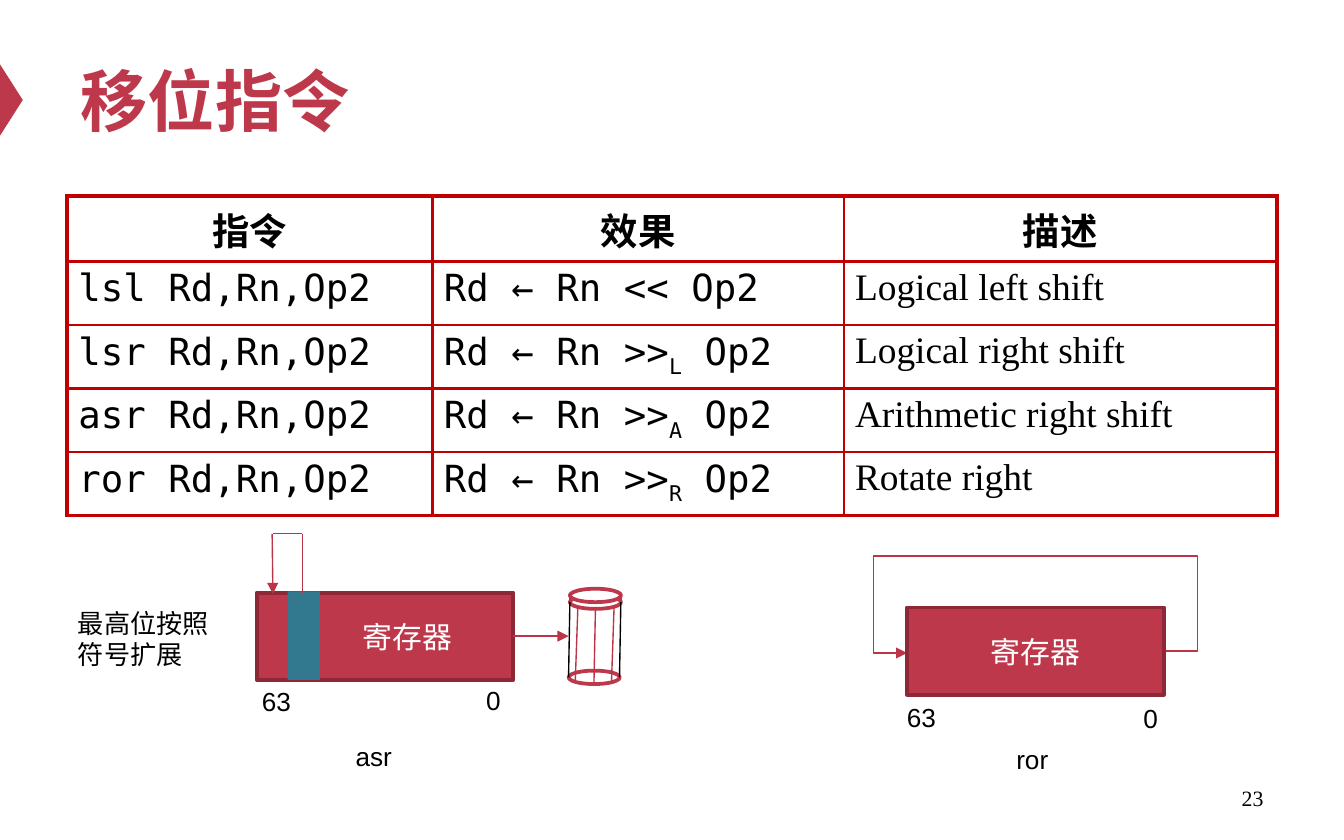
from dataclasses import dataclass

from lxml import etree
from pptx import Presentation
from pptx.dml.color import RGBColor
from pptx.enum import shapes, text
from pptx.oxml import ns
from pptx.util import Pt

COLORS = {
    "red": "BE384B", "line": "BD3347", "dark": "8D2937", "teal": "32788E",
    "border": "C00000", "black": "000000", "white": "FFFFFF",
}
MONO, SERIF, SANS = "DejaVu Sans Mono", "Times New Roman", "Arial"
SHAPE, ALIGN = shapes.MSO_SHAPE, text.PP_ALIGN


@dataclass
class Label:
    words: str
    left: float
    top: float
    width: float
    height: float = 24.5
    align: ALIGN = ALIGN.LEFT
    size: float = 14
    font: str = SANS


@dataclass
class Line:
    x1: float
    y1: float
    x2: float
    y2: float
    color: str = "line"
    arrow: bool = False


HEADERS = ["指令", "效果", "描述"]
# instruction, shift operator, subscript, description
INSTRUCTIONS = [
    ("lsl", "<<", "", "Logical left shift"),
    ("lsr", ">>", "L", "Logical right shift"),
    ("asr", ">>", "A", "Arithmetic right shift"),
    ("ror", ">>", "R", "Rotate right"),
]
LABELS = [
    Label("最高位按照符号扩展", 34.6, 321.8, 85, 41),
    Label("0", 253.4, 362.9, 25),
    Label("63", 133.2, 363.6, 31),
    Label("0", 605.5, 373, 25),
    Label("63", 478.8, 372.2, 31),
    Label("asr", 157.7, 393.1, 85, align=ALIGN.CENTER),
    Label("ror", 510.5, 394.6, 85, align=ALIGN.CENTER),
    Label("23", 516.2, 416.9, 167.8, 23.8, ALIGN.RIGHT, 11.7, SERIF),
]
BIN_ELLIPSES = [(305.3, 319), (304.6, 359.3), (305.3, 315.4)]
BIN_LINES = [
    Line(305.3, 322.6, 304.6, 362.9, "black"),
    Line(332.6, 322.6, 331.9, 362.9, "black"),
    Line(305.3, 318.2, 305.3, 322.6),
    Line(332.6, 318.2, 332.6, 322.6),
    Line(309.6, 324.7, 308.2, 365),
    Line(319, 326.2, 318.2, 365.8),
    Line(329, 324.7, 327.6, 365),
]
SIGN_LINES = [
    Line(275, 340.8, 304.6, 340.8, arrow=True),
    Line(162, 318.2, 162, 286.2),
    Line(162, 285.8, 146.2, 285.8),
    Line(145.8, 286.2, 146.2, 318.2, arrow=True),
]


def rgb(name: str) -> RGBColor:
    return RGBColor.from_string(COLORS[name])


def format_run(run, size: float, font: str, color: str = "black", bold: bool = False) -> None:
    run.font.size, run.font.name, run.font.bold = Pt(size), font, bold
    run.font.color.rgb = rgb(color)


def add_block(slide, kind, left: float, top: float, width: float, height: float,
              fill: str, outline: str = ""):
    shape = slide.shapes.add_shape(kind, Pt(left), Pt(top), Pt(width), Pt(height))
    shape.shadow.inherit = False
    shape.fill.solid()
    shape.fill.fore_color.rgb = rgb(fill)
    if outline:
        shape.line.color.rgb = rgb(outline)
        shape.line.width = Pt(2)
    else:
        shape.line.fill.background()
    return shape


def add_line(slide, line: Line, kind=shapes.MSO_CONNECTOR.STRAIGHT):
    connector = slide.shapes.add_connector(
        kind, Pt(line.x1), Pt(line.y1), Pt(line.x2), Pt(line.y2))
    connector.line.color.rgb = rgb(line.color)
    connector.line.width = Pt(0.75)
    if line.arrow:
        etree.SubElement(connector.line._get_or_add_ln(), ns.qn("a:tailEnd"), type="triangle")
    etree.SubElement(connector._element.spPr, ns.qn("a:effectLst"))
    return connector


def add_rotation_loop(slide, line: Line, reach: float, top: float) -> None:
    """Elbow arrow that leaves on the right, passes above and returns on the left."""
    connector = add_line(slide, line, shapes.MSO_CONNECTOR.ELBOW)
    side = reach / (line.x1 - line.x2)
    rise = (top - line.y1) / (line.y2 - line.y1)
    geometry = connector._element.spPr.find(ns.qn("a:prstGeom"))
    geometry.set("prst", "bentConnector5")
    guides = geometry.find(ns.qn("a:avLst"))
    if guides is None:
        guides = etree.SubElement(geometry, ns.qn("a:avLst"))
    for number, value in enumerate((-side, rise, 1 + side), 1):
        etree.SubElement(guides, ns.qn("a:gd"), name=f"adj{number}",
                         fmla=f"val {round(value * 100000)}")


def add_register(slide, left: float, top: float, indent: float = 0) -> None:
    shape = add_block(slide, SHAPE.RECTANGLE, left, top, 137.5, 46.8, "red", "dark")
    frame = shape.text_frame
    frame.text = "寄存器"
    frame.margin_left = Pt(7.2 + indent)
    frame.vertical_anchor = text.MSO_ANCHOR.MIDDLE
    frame.paragraphs[0].alignment = ALIGN.CENTER
    format_run(frame.paragraphs[0].runs[0], 16, SANS, "white")


def add_label(slide, label: Label) -> None:
    box = slide.shapes.add_textbox(
        Pt(label.left), Pt(label.top), Pt(label.width), Pt(label.height))
    frame = box.text_frame
    frame.word_wrap = True
    frame.text = label.words
    frame.paragraphs[0].alignment = label.align
    format_run(frame.paragraphs[0].runs[0], label.size, label.font)


def set_borders(cell, widths: dict[str, float]) -> None:
    properties = cell._tc.get_or_add_tcPr()
    for side, width in widths.items():
        border = etree.SubElement(properties, ns.qn(f"a:ln{side}"), w=str(Pt(width)))
        fill = etree.SubElement(border, ns.qn("a:solidFill"))
        etree.SubElement(fill, ns.qn("a:srgbClr"), val=COLORS["border"])


def add_instruction_table(slide) -> None:
    rows = [[[word] for word in HEADERS]]
    for name, operator, subscript, description in INSTRUCTIONS:
        effect = [f"Rd ← Rn {operator}", subscript, " Op2"]
        rows.append([[f"{name} Rd,Rn,Op2"], effect, [description]])
    last_row, last_column = len(rows) - 1, len(HEADERS) - 1
    table = slide.shapes.add_table(
        len(rows), len(HEADERS), Pt(36), Pt(105.1), Pt(648), Pt(170)).table
    table.first_row = table.horz_banding = False
    for column, width in zip(table.columns, (195.8, 220.3, 231.9)):
        column.width = Pt(width)
    for r, row in enumerate(rows):
        for c, parts in enumerate(row):
            cell = table.cell(r, c)
            outer = {"L": c == 0, "R": c == last_column, "T": r == 0, "B": r == last_row}
            set_borders(cell, {side: 2.25 if edge else 1.5 for side, edge in outer.items()})
            cell.fill.background()
            cell.margin_left = cell.margin_right = Pt(6)
            cell.margin_top = cell.margin_bottom = Pt(3)
            paragraph = cell.text_frame.paragraphs[0]
            paragraph.alignment = ALIGN.CENTER if r == 0 else ALIGN.LEFT
            font = SANS if r == 0 else SERIF if c == last_column else MONO
            for position, part in enumerate(parts):
                if part:
                    run = paragraph.add_run()
                    run.text = part
                    format_run(run, 20, font, bold=r == 0)
                    if position == 1:
                        run.font._element.set("baseline", "-25000")


def add_title(slide) -> None:
    title = slide.shapes.title
    title.left, title.top, title.width, title.height = Pt(36), Pt(18), Pt(648), Pt(70.6)
    title.text_frame.text = "移位指令"
    title.text_frame.vertical_anchor = text.MSO_ANCHOR.MIDDLE
    paragraph = title.text_frame.paragraphs[0]
    paragraph.alignment = ALIGN.LEFT
    format_run(paragraph.runs[0], 36, SANS, "red", bold=True)


def main() -> None:
    presentation = Presentation()
    presentation.slide_width, presentation.slide_height = Pt(720), Pt(450)
    slide = presentation.slides.add_slide(presentation.slide_layouts[5])
    marker = add_block(slide, SHAPE.ISOSCELES_TRIANGLE, -13, 47.5, 38.2, 12.2, "red")
    marker.rotation = 90
    add_title(slide)
    add_instruction_table(slide)
    add_rotation_loop(slide, Line(623.5, 348.8, 486, 349.8, arrow=True), 18, 297.5)
    for left, top in BIN_ELLIPSES:
        add_block(slide, SHAPE.OVAL, left, top, 27.4, 7.2, "white", "red")
    for line in BIN_LINES:
        add_line(slide, line)
    add_register(slide, 137.5, 317.5, indent=24)
    add_register(slide, 486, 325.4)
    for label in LABELS:
        add_label(slide, label)
    add_block(slide, SHAPE.RECTANGLE, 154.1, 316.8, 17.3, 47.5, "teal")
    for line in SIGN_LINES:
        add_line(slide, line)
    presentation.save("out.pptx")


if __name__ == "__main__":
    main()
